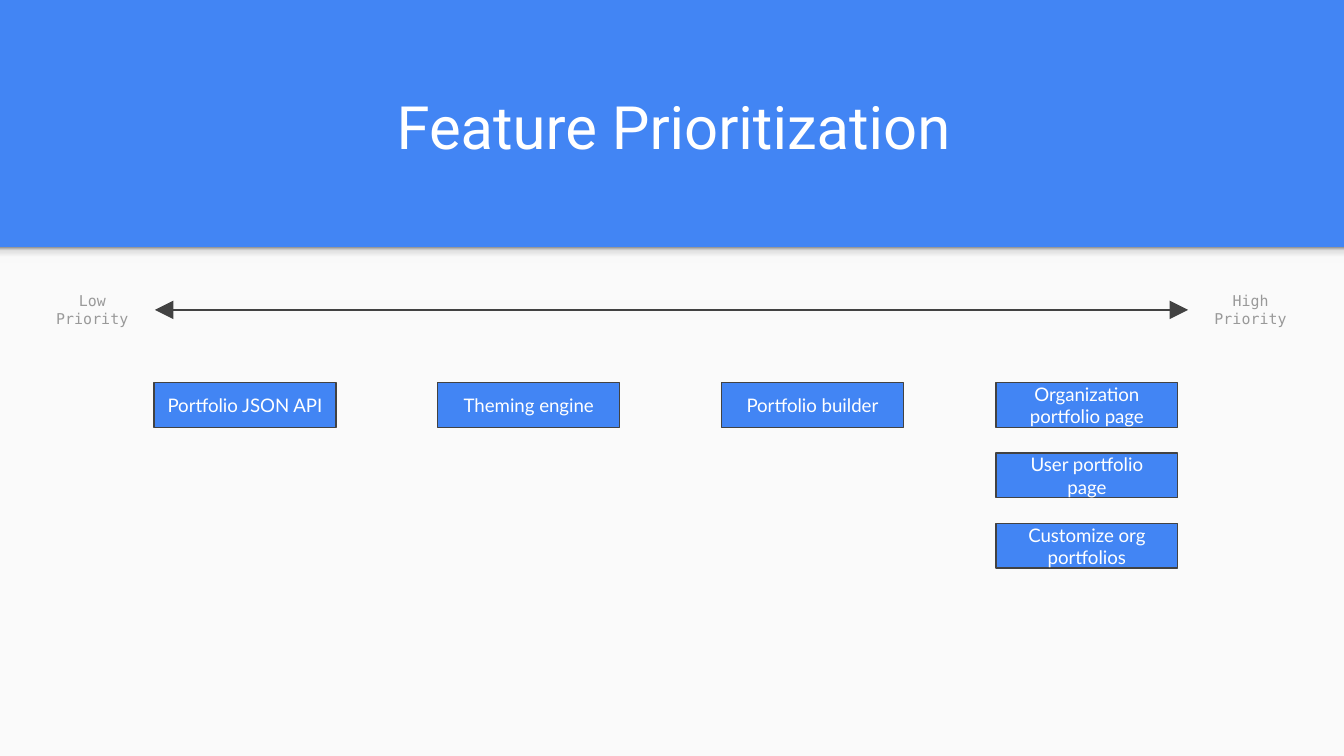
import pptx
import pptx.dml.color
import pptx.enum.shapes
import pptx.enum.text
import pptx.oxml.ns
import pptx.util
from lxml import etree

Pt = pptx.util.Pt
qn = pptx.oxml.ns.qn
SHAPES = pptx.enum.shapes.MSO_SHAPE
ANCHOR = pptx.enum.text.MSO_ANCHOR
CENTER = pptx.enum.text.PP_ALIGN.CENTER

COLORS = {
    "blue": "4285F4",
    "paper": "FAFAFA",
    "ink": "424242",
    "label": "999999",
    "white": "FFFFFF",
}
SHADE_STOPS = [(0, "F9F9F9"), (36, "F9F9F9"), (80, "DEDEDE"), (100, "999999")]

# Features from low to high priority, one list per column
FEATURES = [
    ["Portfolio JSON API"],
    ["Theming engine"],
    ["Portfolio builder"],
    ["Organization portfolio page", "User portfolio page", "Customize org portfolios"],
]
COLUMN_LEFTS = [0, 152, 304, 451]


def rgb(name):
    return pptx.dml.color.RGBColor.from_string(COLORS[name])


def write_text(shape, text, *, size, font, color, anchor=ANCHOR.MIDDLE):
    frame = shape.text_frame
    frame.word_wrap = True
    frame.auto_size = pptx.enum.text.MSO_AUTO_SIZE.NONE
    frame.vertical_anchor = anchor
    frame.margin_left = frame.margin_right = Pt(7.2)
    frame.margin_top = frame.margin_bottom = Pt(7.2)
    para = frame.paragraphs[0]
    para.alignment = CENTER
    span = para.add_run()
    span.text = text
    span.font.size = Pt(size)
    span.font.name = font
    span.font.color.rgb = rgb(color)


def add_rectangle(page, box, fill):
    shape = page.shapes.add_shape(SHAPES.RECTANGLE, *map(Pt, box))
    shape.shadow.inherit = False
    shape.fill.solid()
    shape.fill.fore_color.rgb = rgb(fill)
    shape.line.fill.background()
    return shape


def add_body_panel(page, box):
    """Light panel with a soft shade along its top edge."""
    add_rectangle(page, box, "paper")
    left, top, width, _ = box
    shade = add_rectangle(page, (left, top, width, 8.5), "paper")
    shade.fill.gradient()
    shade.fill.gradient_angle = 90
    stops = shade._element.spPr.find(".//" + qn("a:gsLst"))
    stops.clear()
    for percent, color in SHADE_STOPS:
        stop = etree.SubElement(stops, qn("a:gs"), pos=str(percent * 1000))
        etree.SubElement(stop, qn("a:srgbClr"), val=color)


def add_title(page, box):
    title = page.shapes.title
    title.left, title.top, title.width, title.height = map(Pt, box)
    write_text(title, "Feature Prioritization", size=32, font="Roboto",
               color="white", anchor=ANCHOR.BOTTOM)


def add_priority_axis(page, box):
    """Double-headed arrow between a label at each end of the box."""
    left, top, width, height = box
    label_width = 67
    labels = []
    for text, label_left in (("Low Priority", left),
                             ("High Priority", left + width - label_width)):
        label = page.shapes.add_textbox(*map(Pt, (label_left, top, label_width, height)))
        write_text(label, text, size=8, font="DejaVu Sans Mono", color="label")
        labels.append(label)

    arrow = page.shapes.add_connector(
        pptx.enum.shapes.MSO_CONNECTOR.STRAIGHT, 0, 0, 0, 0)
    arrow.begin_connect(labels[0], 3)
    arrow.end_connect(labels[1], 1)
    arrow.line.color.rgb = rgb("ink")
    arrow.line.width = Pt(0.75)
    line = arrow.line._get_or_add_ln()
    for end in ("a:headEnd", "a:tailEnd"):
        etree.SubElement(line, qn(end), type="triangle", w="lg", len="lg")
    etree.SubElement(arrow._element.spPr, qn("a:effectLst"))


def add_features(page, box):
    """Columns of feature cards, stacked down from the top of the box."""
    left, top, _, _ = box
    card_width, card_height, row_step = 97.5, 24, 37.7
    for column_left, names in zip(COLUMN_LEFTS, FEATURES):
        for row, name in enumerate(names):
            card = add_rectangle(page, (left + column_left, top + row * row_step,
                                        card_width, card_height), "blue")
            card.line.color.rgb = rgb("ink")
            card.line.width = Pt(0.75)
            write_text(card, name, size=10, font="Lato", color="white")


def main():
    deck = pptx.Presentation()
    deck.slide_width, deck.slide_height = Pt(720), Pt(405)
    page = deck.slides.add_slide(deck.slide_layouts.get_by_name("Title Only"))
    page.background.fill.solid()
    page.background.fill.fore_color.rgb = rgb("blue")

    add_body_panel(page, (0, 132.5, 720, 272.5))
    add_title(page, (37.5, 33, 647, 60.5))
    add_priority_axis(page, (16, 153, 687.5, 26))
    add_features(page, (82.5, 205, 548.5, 99.4))
    deck.save("out.pptx")


if __name__ == "__main__":
    main()
